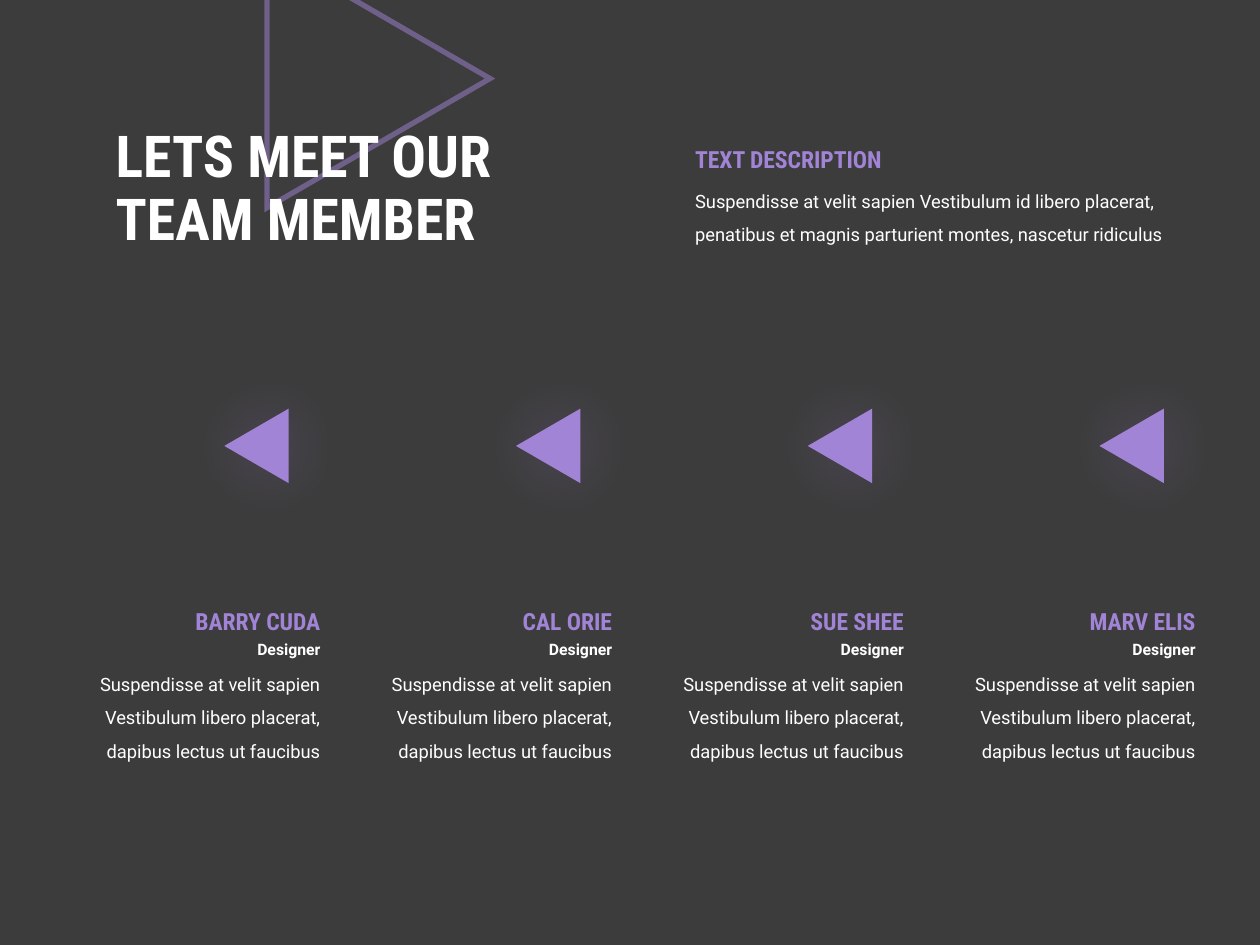
from lxml.etree import SubElement
from pptx import Presentation
from pptx.dml.color import RGBColor
from pptx.enum.shapes import MSO_SHAPE as Shape
from pptx.enum.text import MSO_ANCHOR as Anchor, PP_ALIGN as Align
from pptx.oxml.ns import qn
from pptx.util import Pt

TITLE = "LETS MEET OUR\vTEAM MEMBER"
INTRO_HEADING = "TEXT DESCRIPTION"
INTRO = ("Suspendisse at velit sapien Vestibulum id libero placerat, "
         "penatibus et magnis parturient montes, nascetur ridiculus")
BIO = "Suspendisse at velit sapien Vestibulum libero placerat, dapibus lectus ut faucibus"
MEMBERS = [(name, "Designer", BIO) for name in ("BARRY CUDA", "CAL ORIE", "SUE SHEE", "MARV ELIS")]

THEME = {
    "background": "3C3C3C", "text": "FFFFFF", "accent": "A284D7",
    "body": "Roboto", "display": "Roboto Condensed",
    "title_size": 33, "heading_size": 13.5, "body_size": 10.5, "role_size": 9,
}
FIRST_RIGHT, COLUMN_STEP = 190.1, 166.7


def rgb(key):
    """Return a theme colour."""
    return RGBColor.from_string(THEME[key])


def add_text(slide, text, left, top, width, height, size="body_size", font="body",
             color="text", bold=False, align=Align.LEFT, spacing=1.0, anchor=Anchor.TOP):
    """Add a wrapped text box with one formatted paragraph."""
    frame = slide.shapes.add_textbox(Pt(left), Pt(top), Pt(width), Pt(height)).text_frame
    frame.word_wrap = True
    frame.vertical_anchor = anchor
    paragraph = frame.paragraphs[0]
    paragraph.text = text
    paragraph.alignment = align
    paragraph.line_spacing = spacing
    paragraph.font.size = Pt(THEME[size])
    paragraph.font.name = THEME[font]
    paragraph.font.bold = bold
    paragraph.font.color.rgb = rgb(color)


def add_color(parent, alpha):
    """Append the accent colour with an opacity in percent."""
    color = SubElement(parent, qn("a:srgbClr"), val=THEME["accent"])
    SubElement(color, qn("a:alpha"), val=str(alpha * 1000))


def add_triangle(slide, left, top, width, height, rotation, outlined=False):
    """Add a glowing accent triangle, either outlined or filled."""
    triangle = slide.shapes.add_shape(Shape.ISOSCELES_TRIANGLE, Pt(left), Pt(top), Pt(width), Pt(height))
    triangle.rotation = rotation
    triangle.shadow.inherit = False
    if outlined:
        triangle.fill.background()
        triangle.line.width = Pt(3)
        triangle.line.color.rgb = rgb("accent")
        line_fill = triangle.line._get_or_add_ln().find(qn("a:solidFill"))
        line_fill.clear()
        add_color(line_fill, 50)
        SubElement(triangle.line._get_or_add_ln(), qn("a:miter"), lim="800000")
    else:
        triangle.fill.solid()
        triangle.fill.fore_color.rgb = rgb("accent")
        triangle.line.fill.background()
    effects = triangle._element.spPr.find(qn("a:effectLst"))
    glow = SubElement(effects, qn("a:outerShdw"), blurRad=str(Pt(35)), dist="0", dir="0",
                      algn="ctr", rotWithShape="0")
    add_color(glow, 25)


def add_member(slide, right, name, role, bio):
    """Add one right-aligned team member column."""
    heading = {"size": "heading_size", "font": "display", "color": "accent", "bold": True}
    add_text(slide, bio, right - 153.4, 375.1, 153.4, 62.6, align=Align.RIGHT, spacing=1.5)
    add_text(slide, name, right - 100, 343.4, 100, 23.8, align=Align.RIGHT, **heading)
    add_text(slide, role, right - 56.2, 362.2, 56.2, 18, size="role_size", bold=True, align=Align.RIGHT)
    add_triangle(slide, right - 64.8, 236.4, 42.6, 36.8, 270)


def main():
    """Build and save the team slide."""
    deck = Presentation()
    deck.slide_width, deck.slide_height = Pt(720), Pt(540)
    slide = deck.slides.add_slide(deck.slide_layouts[6])
    slide.background.fill.solid()
    slide.background.fill.fore_color.rgb = rgb("background")

    add_triangle(slide, 142.5, -18.8, 147.6, 127.4, 90, outlined=True)
    add_text(slide, TITLE, 59, 51.8, 303.8, 113.8, size="title_size", font="display",
             bold=True, spacing=0.9, anchor=Anchor.MIDDLE)
    for index, member in enumerate(MEMBERS):
        add_member(slide, FIRST_RIGHT + index * COLUMN_STEP, *member)
    add_text(slide, INTRO, 390.2, 98.6, 299.5, 43.2, spacing=1.5)
    add_text(slide, INTRO_HEADING, 390.2, 79.2, 132.5, 23.8, size="heading_size",
             font="display", color="accent", bold=True)
    deck.save("out.pptx")


if __name__ == "__main__":
    main()
